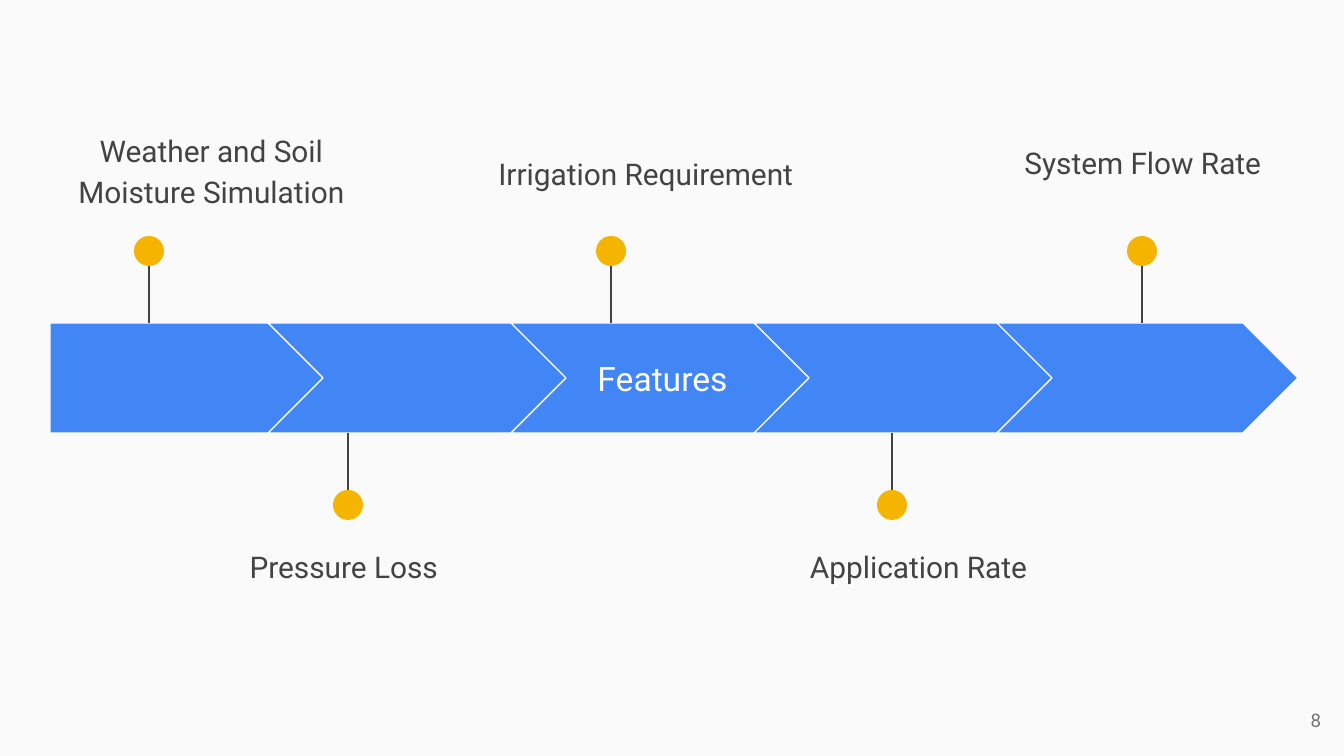
from pptx import Presentation
from pptx.dml.color import RGBColor
from pptx.enum.shapes import MSO_CONNECTOR as CONNECTOR, MSO_SHAPE as SHAPE
from pptx.enum.text import MSO_ANCHOR as ANCHOR, PP_ALIGN as ALIGN
from pptx.oxml.ns import qn
from pptx.util import Pt
from lxml.etree import SubElement

PX = 914400 / 134.4
COLORS = {"background": "FAFAFA", "arrow": "4285F4", "white": "FFFFFF",
          "dot": "F4B400", "stem": "424242", "label": "434343", "number": "737373"}


def px(*lengths):
    return [round(length * PX) for length in lengths]


def add_text(text, box, size=16, color="label", align=ALIGN.CENTER,
             anchor=ANCHOR.TOP, line_spacing=None, space_after=0):
    frame = slide.shapes.add_textbox(*px(*box)).text_frame
    frame.word_wrap = True
    frame.vertical_anchor = anchor
    frame.margin_left = frame.margin_right = frame.margin_top = frame.margin_bottom = px(13)[0]
    paragraph = frame.paragraphs[0]
    paragraph.alignment = align
    paragraph.space_after = Pt(space_after)
    if line_spacing:
        paragraph.line_spacing = line_spacing
    run = paragraph.add_run()
    run.text = text
    run.font.name = "Roboto"
    run.font.size = Pt(size)
    run.font.color.rgb = RGBColor.from_string(COLORS[color])


presentation = Presentation()
presentation.slide_width, presentation.slide_height = px(1344, 756)
slide = presentation.slides.add_slide(presentation.slide_layouts[6])
slide.background.fill.solid()
slide.background.fill.fore_color.rgb = RGBColor.from_string(COLORS["background"])

# Arrow band: a pentagon followed by four chevrons
band_top, band_height = 323, 110
segments = [(SHAPE.PENTAGON, 50, 276)]
segments += [(SHAPE.CHEVRON, 268 + 243 * i, 301) for i in range(4)]
for kind, left, width in segments:
    segment = slide.shapes.add_shape(kind, *px(left, band_top, width, band_height))
    segment.shadow.inherit = False
    segment.adjustments[0] = 0.5
    segment.fill.solid()
    segment.fill.fore_color.rgb = RGBColor.from_string(COLORS["arrow"])
    segment.line.color.rgb = RGBColor.from_string(COLORS["white"])
    segment.line.width = Pt(0.75)

add_text("Features", (512, 344, 301, 69), size=18, color="white", anchor=ANCHOR.MIDDLE)

# Features: text, pin centre, pin above the band, label left, top and height
features = [
    ("Weather and Soil Moisture Simulation", 149, True, 47, 114, 133),
    ("Pressure Loss ", 348, False, 183, 530, 69),
    ("Irrigation Requirement ", 611, True, 485, 137, 58),
    ("Application Rate", 892, False, 754, 530, 79),
    ("System Flow Rate ", 1142, True, 982, 126, 58),
]
dot_size = 30
for text, center, above, left, top, height in features:
    dot_top = 236 if above else 490
    band_edge = band_top if above else band_top + band_height

    # Stem from the dot to the band
    stem = slide.shapes.add_connector(
        CONNECTOR.STRAIGHT, *px(center, dot_top + dot_size // 2, center, band_edge))
    stem.line.color.rgb = RGBColor.from_string(COLORS["stem"])
    stem.line.width = Pt(0.75)
    SubElement(stem.element.spPr, qn("a:effectLst"))

    # Dot
    dot = slide.shapes.add_shape(
        SHAPE.OVAL, *px(center - dot_size // 2, dot_top, dot_size, dot_size))
    dot.shadow.inherit = False
    dot.fill.solid()
    dot.fill.fore_color.rgb = RGBColor.from_string(COLORS["dot"])
    dot.line.fill.background()

    add_text(text, (left, top, 329, height), line_spacing=1.15, space_after=16)

# Slide number
add_text("8", (1253, 691, 81, 58), size=10, color="number",
         align=ALIGN.RIGHT, anchor=ANCHOR.MIDDLE)

presentation.save("out.pptx")
